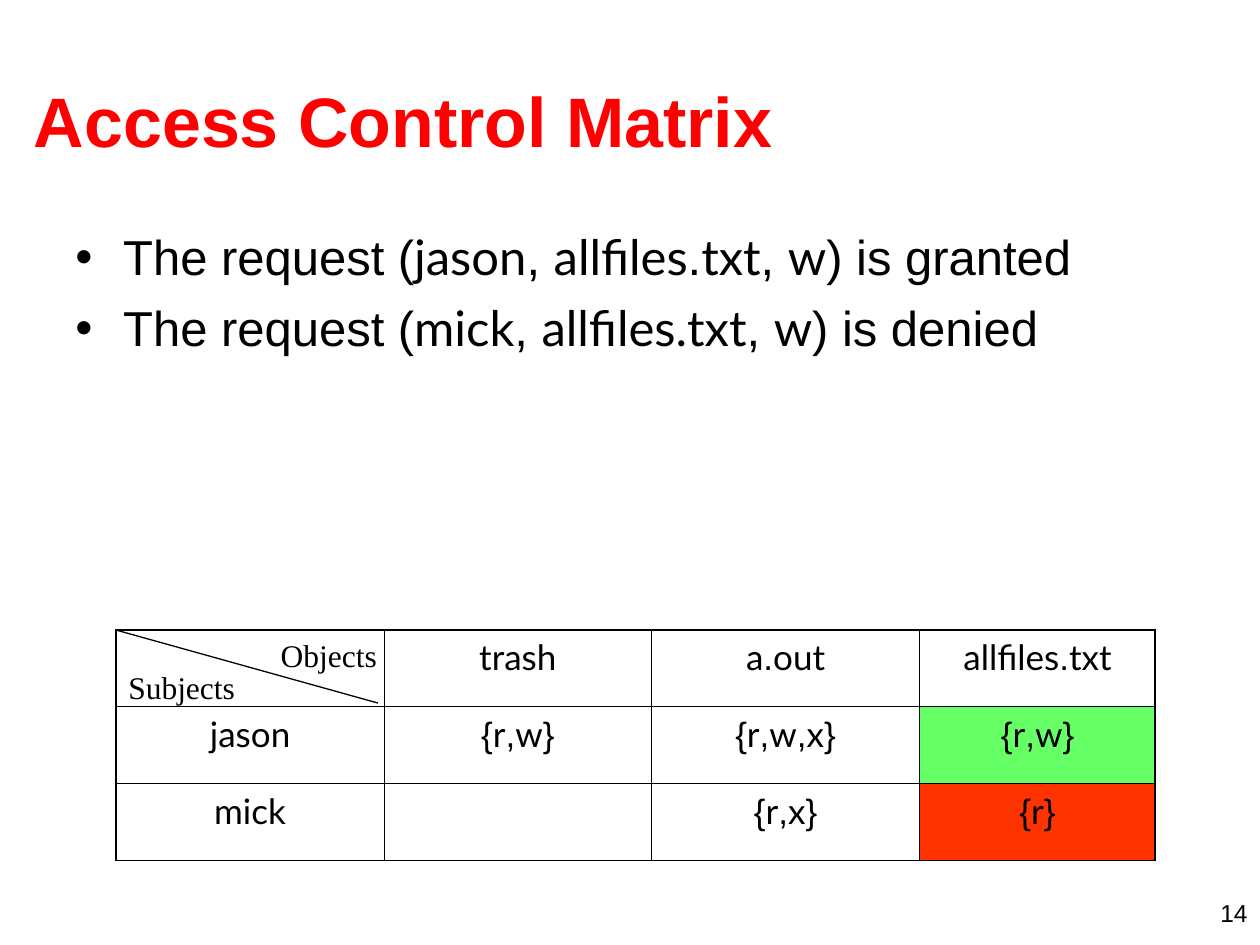
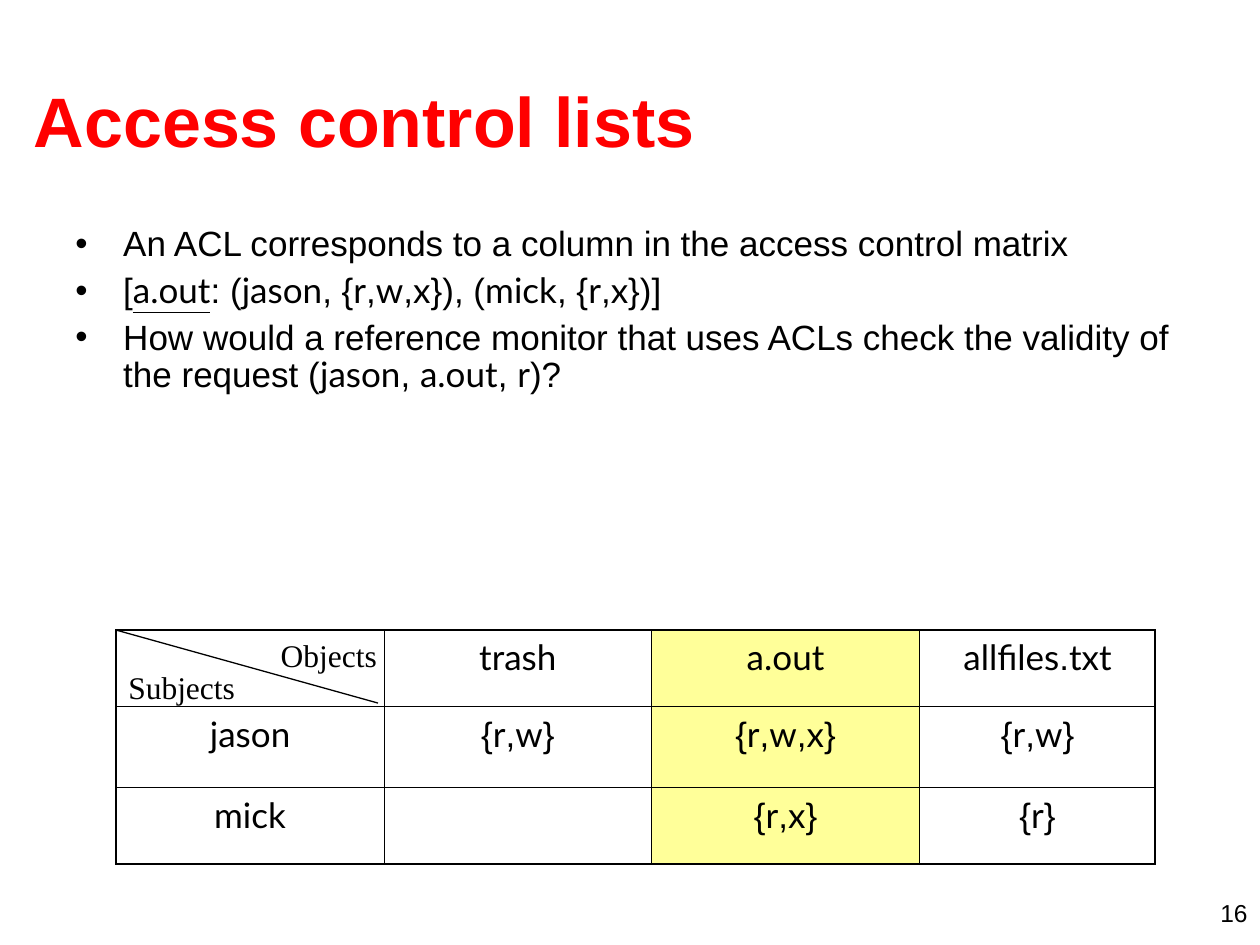
from collections import namedtuple
from dataclasses import dataclass

from pptx import Presentation
from pptx.dml.color import RGBColor as Color
from pptx.enum.shapes import MSO_CONNECTOR as Connector
from pptx.enum.text import MSO_ANCHOR as Anchor, PP_ALIGN as Align
from pptx.oxml.ns import qn
from pptx.util import Inches, Pt
from lxml.etree import SubElement

Box = namedtuple("Box", "left top width height")


@dataclass(frozen=True)
class Theme:
    text: str = "000000"
    title: str = "FF0000"
    granted: str = "66FF66"
    denied: str = "FF3300"
    column: str = "FFFF99"
    sans: str = "Arial"
    code: str = "Lato"
    serif: str = "Times New Roman"
    title_size: float = 40
    table_size: float = 20
    corner_size: float = 18
    number_size: float = 14
    outer_line: float = 1.08
    inner_line: float = 0.45
    diagonal_line: float = 0.75


THEME = Theme()
TITLE_BOX = Box(0.17, 0.32, 9.58, 1.25)
BODY_BOX = Box(0.5, 1.75, 9, 2.75)
MATRIX_BOX = Box(0.92, 5, 8.25, 1.83)
NUMBER_BOX = Box(7.67, 7.08, 2.33, 0.25)
COLUMN_WIDTHS = (2.13, 2.12, 2.13, 1.87)


# Text: pieces between backticks are code, a leading underscore underlines one
def add_span(para, text, size, font, color=THEME.text, bold=False, underline=False):
    span = para.add_run()
    span.text = text
    span.font.size, span.font.name = Pt(size), font
    span.font.bold, span.font.underline = bold, underline
    span.font.color.rgb = Color.from_string(color)


def add_mixed_text(para, text, size):
    for index, piece in enumerate(text.split("`")):
        if piece:
            add_span(para, piece.lstrip("_"), size, THEME.code if index % 2 else THEME.sans,
                     underline=piece.startswith("_"))


def add_frame(page, box, anchor=Anchor.TOP):
    frame = page.shapes.add_textbox(*map(Inches, box)).text_frame
    frame.word_wrap = True
    frame.vertical_anchor = anchor
    return frame


def add_label(page, box, text, size, font, align=Align.LEFT, anchor=Anchor.TOP, **style):
    para = add_frame(page, box, anchor).paragraphs[0]
    para.alignment = align
    add_span(para, text, size, font, **style)


# Bulleted body
def set_bullet(para):
    properties = para._p.get_or_add_pPr()
    properties.set("marL", str(Inches(0.38)))
    properties.set("indent", str(Inches(-0.38)))
    color = SubElement(properties, qn("a:buClr"))
    SubElement(color, qn("a:srgbClr"), val=THEME.text)
    SubElement(properties, qn("a:buFont"), typeface=THEME.sans)
    SubElement(properties, qn("a:buChar"), char="•")


def add_bullets(page, box, bullets, size, gap, line_spacing):
    frame = add_frame(page, box)
    for index, text in enumerate(bullets):
        para = frame.add_paragraph() if index else frame.paragraphs[0]
        set_bullet(para)
        para.line_spacing = line_spacing
        if index:
            para.space_before = Pt(gap)
        add_mixed_text(para, text, size)


# Access control matrix
def set_borders(cell, outer_sides):
    properties = cell._tc.get_or_add_tcPr()
    for side in "LRTB":
        width = THEME.outer_line if side in outer_sides else THEME.inner_line
        line = SubElement(properties, qn(f"a:ln{side}"), w=str(Pt(width)))
        fill = SubElement(line, qn("a:solidFill"))
        SubElement(fill, qn("a:srgbClr"), val=THEME.text)


def add_corner(page, box):
    """Diagonal and the two captions of the header corner."""
    left, top = box.left, box.top
    diagonal = page.shapes.add_connector(
        Connector.STRAIGHT, *map(Inches, (left, top, left + 2.08, top + 0.58)))
    diagonal.line.color.rgb = Color.from_string(THEME.text)
    diagonal.line.width = Pt(THEME.diagonal_line)
    SubElement(diagonal._element.spPr, qn("a:effectLst"))
    add_label(page, Box(left + 1, top, 1.17, 0.4), "Objects",
              THEME.corner_size, THEME.serif, Align.RIGHT)
    add_label(page, Box(left, top + 0.25, 1.33, 0.4), "Subjects",
              THEME.corner_size, THEME.serif)


def add_matrix(page, box, rows, row_heights, highlights):
    table = page.shapes.add_table(len(rows), len(COLUMN_WIDTHS), *map(Inches, box)).table
    table.first_row = table.horz_banding = False
    for column, width in zip(table.columns, COLUMN_WIDTHS):
        column.width = Inches(width)
    last_row, last_column = len(rows) - 1, len(COLUMN_WIDTHS) - 1
    for r, texts in enumerate(rows):
        table.rows[r].height = Inches(row_heights[r])
        for c, text in enumerate(texts):
            cell = table.cell(r, c)
            edges = {"T": r == 0, "B": r == last_row, "L": c == 0, "R": c == last_column}
            set_borders(cell, [side for side, outer in edges.items() if outer])
            if (r, c) in highlights:
                cell.fill.solid()
                cell.fill.fore_color.rgb = Color.from_string(highlights[r, c])
            else:
                cell.fill.background()
            para = cell.text_frame.paragraphs[0]
            para.alignment = Align.CENTER
            add_mixed_text(para, text, THEME.table_size)
    add_corner(page, box)


def matrix_rows(program):
    return [
        ("", "`trash`", program, "`allfiles`.`txt`"),
        ("`jason`", "{`r`,`w`}", "{`r`,`w`,`x`}", "{`r`,`w`}"),
        ("`mick`", "", "{`r`,`x`}", "{`r`}"),
    ]


# One slide: title, bullets, matrix, page number
def add_page(deck, title, number, bullets, body_style, matrix):
    page = deck.slides.add_slide(deck.slide_layouts[6])
    add_label(page, TITLE_BOX, title, THEME.title_size, THEME.sans,
              anchor=Anchor.MIDDLE, color=THEME.title, bold=True)
    add_bullets(page, BODY_BOX, bullets, **body_style)
    add_matrix(page, MATRIX_BOX, **matrix)
    add_label(page, NUMBER_BOX, number, THEME.number_size, THEME.sans, Align.RIGHT)


def main():
    deck = Presentation()
    deck.slide_width, deck.slide_height = Inches(10), Inches(7.5)
    add_page(
        deck, "Access Control Matrix", "14",
        ["The request (`jason`, `allfiles`.`txt`, `w`) is granted",
         "The request (`mick`, `allfiles.txt`, `w`) is denied"],
        dict(size=28, gap=7, line_spacing=1.0),
        dict(rows=matrix_rows("`a`.`out`"), row_heights=(0.61, 0.61, 0.61),
             highlights={(1, 3): THEME.granted, (2, 3): THEME.denied}))
    add_page(
        deck, "Access control lists", "16",
        ["An ACL corresponds to a column in the access control matrix",
         "[`_a.out`: (`jason`, {`r`,`w`,`x`}), (`mick`, {`r`,`x`})]",
         "How would a reference monitor that uses ACLs check the validity of "
         "the request (`jason`, `a.out`, `r`)?"],
        dict(size=20, gap=5, line_spacing=0.9),
        dict(rows=matrix_rows("`a.out`"), row_heights=(0.61, 0.64, 0.61),
             highlights={(row, 2): THEME.column for row in range(3)}))
    deck.save("out.pptx")


if __name__ == "__main__":
    main()
